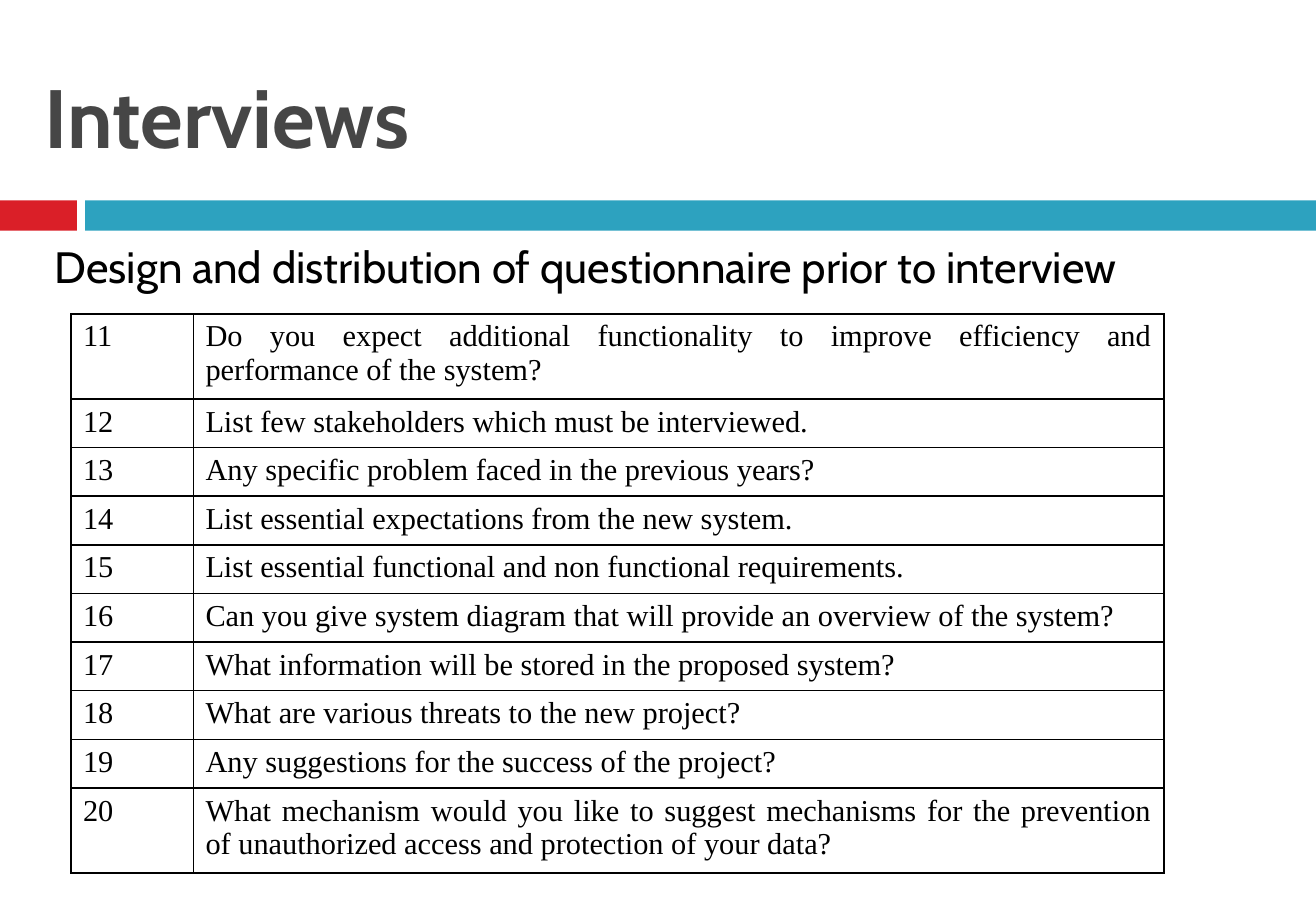
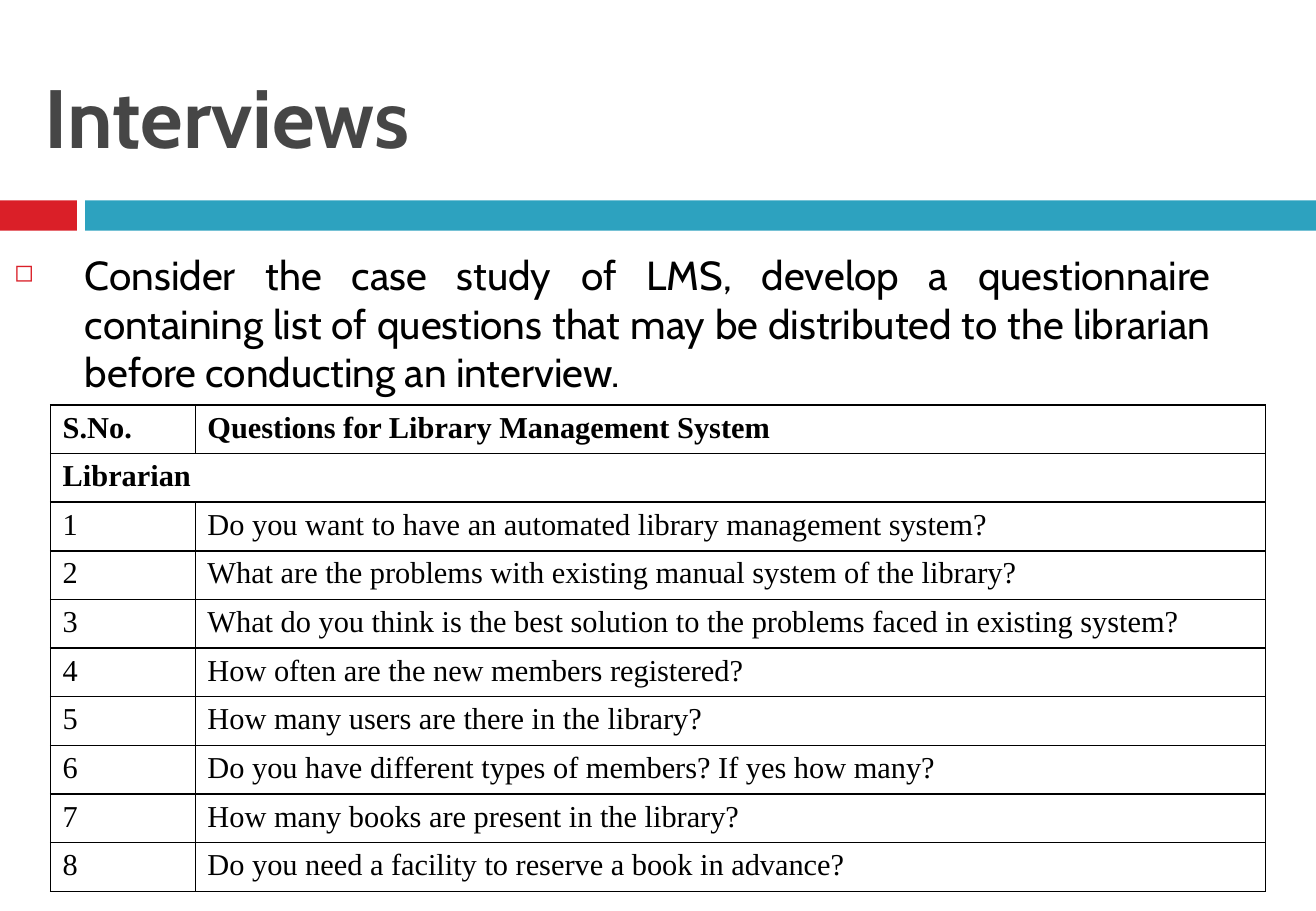
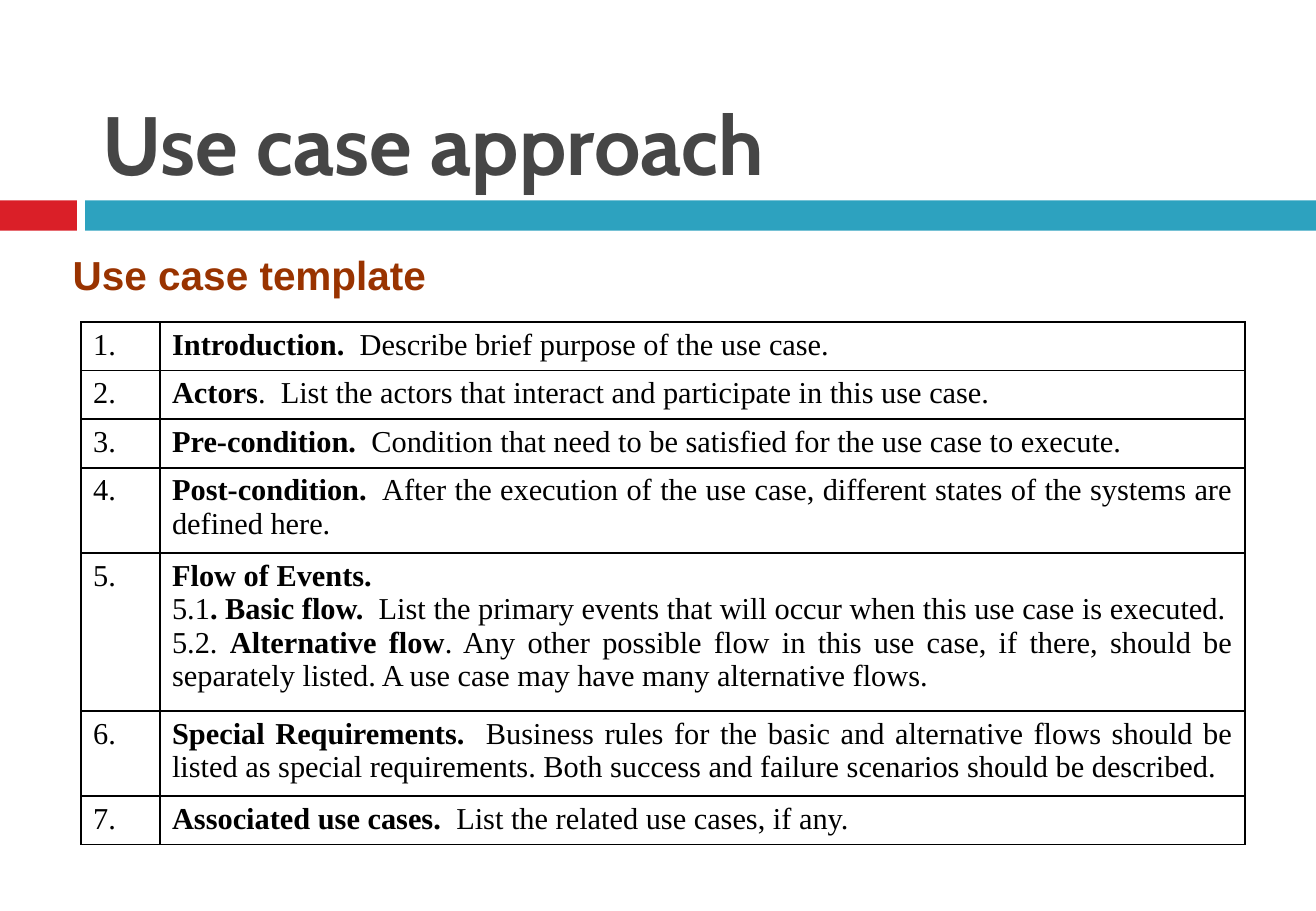
from dataclasses import dataclass

from pptx import Presentation
from pptx.dml.color import RGBColor
from pptx.enum.shapes import MSO_SHAPE
from pptx.enum.text import MSO_ANCHOR, PP_ALIGN
from pptx.oxml import parse_xml
from pptx.oxml.ns import nsdecls
from pptx.util import Emu, Pt


@dataclass(frozen=True)
class Theme:
    red: str = "DA1F28"
    teal: str = "2DA2BF"
    title_grey: str = "464646"
    black: str = "000000"
    brown: str = "993300"
    title_font: str = "Cabin"
    heading_font: str = "Arial"
    table_font: str = "Times New Roman"
    title_size: int = 49
    lead_size: int = 26
    body_size: int = 24
    table_size: int = 18
    border_width: int = 1


THEME = Theme()
EMU_PER_PX = 7620
PAGE_WIDTH, PAGE_HEIGHT = 1300, 900
BAND_TOP, BAND_HEIGHT = 198, 30
LINE_ROW, PAIR_ROW = 45, 78
TEMPLATE_ROW, TEMPLATE_PAIR_ROW, TEMPLATE_FLOW_ROW = 48, 84, 156

TITLE = {"name": THEME.title_font, "size": Pt(THEME.title_size), "bold": True}
LEAD = {"name": THEME.title_font, "size": Pt(THEME.lead_size)}
BODY = {"name": THEME.title_font, "size": Pt(THEME.body_size)}
HEADING = {"name": THEME.heading_font, "size": Pt(THEME.body_size), "bold": True}
CELL = {"name": THEME.table_font, "size": Pt(THEME.table_size)}

INSETS = {
    "margin_left": Emu(14 * EMU_PER_PX),
    "margin_right": Emu(14 * EMU_PER_PX),
    "margin_top": Emu(7 * EMU_PER_PX),
    "margin_bottom": Emu(7 * EMU_PER_PX),
}
JUSTIFIED = {"alignment": PP_ALIGN.JUSTIFY}
BODY_PARA = {**JUSTIFIED, "space_before": Pt(8.2)}

EXTRA_QUESTIONS = [
    "Do you expect additional functionality to improve efficiency and performance of the system?",
    "List few stakeholders which must be interviewed.",
    "Any specific problem faced in the previous years?",
    "List essential expectations from the new system.",
    "List essential functional and non functional requirements.",
    "Can you give system diagram that will provide an overview of the system?",
    "What information will be stored in the proposed system?",
    "What are various threats to the new project?",
    "Any suggestions for the success of the project?",
    "What mechanism would you like to suggest mechanisms for the prevention of "
    "unauthorized access and protection of your data?",
]

LIBRARIAN_QUESTIONS = [
    "Do you want to have an automated library management system?",
    "What are the problems with existing manual system of the library?",
    "What do you think is the best solution to the problems faced in existing system?",
    "How often are the new members registered?",
    "How many users are there in the library?",
    "Do you have different types of members? If yes how many?",
    "How many books are present in the library?",
    "Do you need a facility to reserve a book in advance?",
]

TEMPLATE_SECTIONS = [
    "*Introduction.*  Describe brief purpose of the use case.",
    "*Actors*.  List the actors that interact and participate in this use case.",
    "*Pre-condition.*  Condition that need to be satisfied for the use case to execute.",
    "*Post-condition.*  After the execution of the use case, different states of the "
    "systems are defined here.",
    "*Flow of Events.*\n"
    "5.1*. Basic flow.*  List the primary events that will occur when this use case is executed.\n"
    "5.2. *Alternative flow*. Any other possible flow in this use case, if there, should be "
    "separately listed. A use case may have many alternative flows.",
    "*Special Requirements.*  Business rules for the basic and alternative flows should be "
    "listed as special requirements. Both success and failure scenarios should be described.",
    "*Associated use cases.*  List the related use cases, if any.",
]


def px(length):
    return Emu(length * EMU_PER_PX)


def apply(target, values):
    for name, value in values.items():
        setattr(target, name, value)


def write_text(frame, text, font, color, para_format):
    for index, line in enumerate(text.split("\n")):
        para = frame.paragraphs[0] if index == 0 else frame.add_paragraph()
        apply(para, para_format)
        for position, part in enumerate(line.split("*")):
            if part:
                span = para.add_run()
                span.text = part
                apply(span.font, {"bold": position % 2 == 1, **font})
                span.font.color.rgb = RGBColor.from_string(color)


def add_text(page, area, text, font, color, para_format, frame_format):
    box = page.shapes.add_textbox(*map(px, area))
    apply(box.text_frame, {"word_wrap": True, **frame_format})
    write_text(box.text_frame, text, font, color, para_format)
    return box


def add_bullet(para, indent):
    properties = para._p.get_or_add_pPr()
    properties.set("marL", str(px(indent)))
    properties.set("indent", str(px(-indent)))
    for markup in (
        f'<a:buClr {nsdecls("a")}><a:srgbClr val="{THEME.red}"/></a:buClr>',
        f'<a:buSzPct {nsdecls("a")} val="60000"/>',
        f'<a:buChar {nsdecls("a")} char="◻"/>',
    ):
        properties.append(parse_xml(markup))


def add_band(page, left, width, color):
    band = page.shapes.add_shape(
        MSO_SHAPE.RECTANGLE, *map(px, (left, BAND_TOP, width, BAND_HEIGHT))
    )
    band.shadow.inherit = False
    band.fill.solid()
    band.fill.fore_color.rgb = RGBColor.from_string(color)
    band.line.fill.background()


def add_page(deck, title, title_area):
    page = deck.slides.add_slide(deck.slide_layouts[6])
    add_band(page, 0, 76, THEME.red)
    add_band(page, 84, PAGE_WIDTH - 84, THEME.teal)
    add_text(page, title_area, title, TITLE, THEME.title_grey, {},
             {**INSETS, "vertical_anchor": MSO_ANCHOR.BOTTOM})
    return page


def add_borders(cell):
    properties = cell._tc.get_or_add_tcPr()
    for index, side in enumerate(("lnL", "lnR", "lnT", "lnB")):
        properties.insert(index, parse_xml(
            f'<a:{side} {nsdecls("a")} w="{Pt(THEME.border_width)}"><a:solidFill>'
            f'<a:srgbClr val="{THEME.black}"/></a:solidFill></a:{side}>'
        ))


def add_grid(page, left, top, column_widths, row_heights, rows):
    area = (left, top, sum(column_widths), sum(row_heights))
    table = page.shapes.add_table(len(rows), len(column_widths), *map(px, area)).table
    apply(table, {"first_row": False, "horz_banding": False})
    for column, width in zip(table.columns, column_widths):
        column.width = px(width)
    for row, height, texts in zip(table.rows, row_heights, rows):
        row.height = px(height)
        for cell, text in zip(row.cells, texts):
            cell.fill.background()
            add_borders(cell)
            write_text(cell.text_frame, text, CELL, THEME.black, JUSTIFIED)
    return table


def numbered(texts, first=1, suffix=""):
    return [(f"{number}{suffix}", text) for number, text in enumerate(texts, first)]


def build_extra_questions(deck):
    page = add_page(deck, "Interviews", (30, 40, 1216, 130))
    add_text(page, (40, 230, 1190, 76),
             "Design and distribution of questionnaire prior to interview",
             LEAD, THEME.black, BODY_PARA, INSETS)
    heights = [PAIR_ROW] + [LINE_ROW] * 8 + [PAIR_ROW]
    add_grid(page, 70, 310, (121, 959), heights, numbered(EXTRA_QUESTIONS, 11))


def build_librarian_questions(deck):
    page = add_page(deck, "Interviews", (30, 40, 1216, 130))
    box = add_text(page, (0, 240, 1210, 160),
                   "Consider the case study of LMS, develop a questionnaire containing list of "
                   "questions that may be distributed to the librarian before conducting an interview.",
                   BODY, THEME.black, BODY_PARA, INSETS)
    add_bullet(box.text_frame.paragraphs[0], 70)
    rows = [
        ("*S.No.*", "*Questions for Library Management System*"),
        ("*Librarian*", ""),
        *numbered(LIBRARIAN_QUESTIONS),
    ]
    table = add_grid(page, 50, 400, (143, 1057), [LINE_ROW] * len(rows), rows)
    table.cell(1, 0).merge(table.cell(1, 1))


def build_use_case_template(deck):
    page = add_page(deck, "Use case approach", (87, 20, 1159, 177))
    add_text(page, (60, 240, 440, 62), "Use case template", HEADING, THEME.brown, {},
             {"vertical_anchor": MSO_ANCHOR.MIDDLE})
    heights = [TEMPLATE_ROW] * 3 + [
        TEMPLATE_PAIR_ROW, TEMPLATE_FLOW_ROW, TEMPLATE_PAIR_ROW, TEMPLATE_ROW
    ]
    add_grid(page, 80, 318, (78, 1072), heights, numbered(TEMPLATE_SECTIONS, suffix="."))


def main():
    deck = Presentation()
    apply(deck, {"slide_width": px(PAGE_WIDTH), "slide_height": px(PAGE_HEIGHT)})
    build_extra_questions(deck)
    build_librarian_questions(deck)
    build_use_case_template(deck)
    deck.save("out.pptx")


if __name__ == "__main__":
    main()
